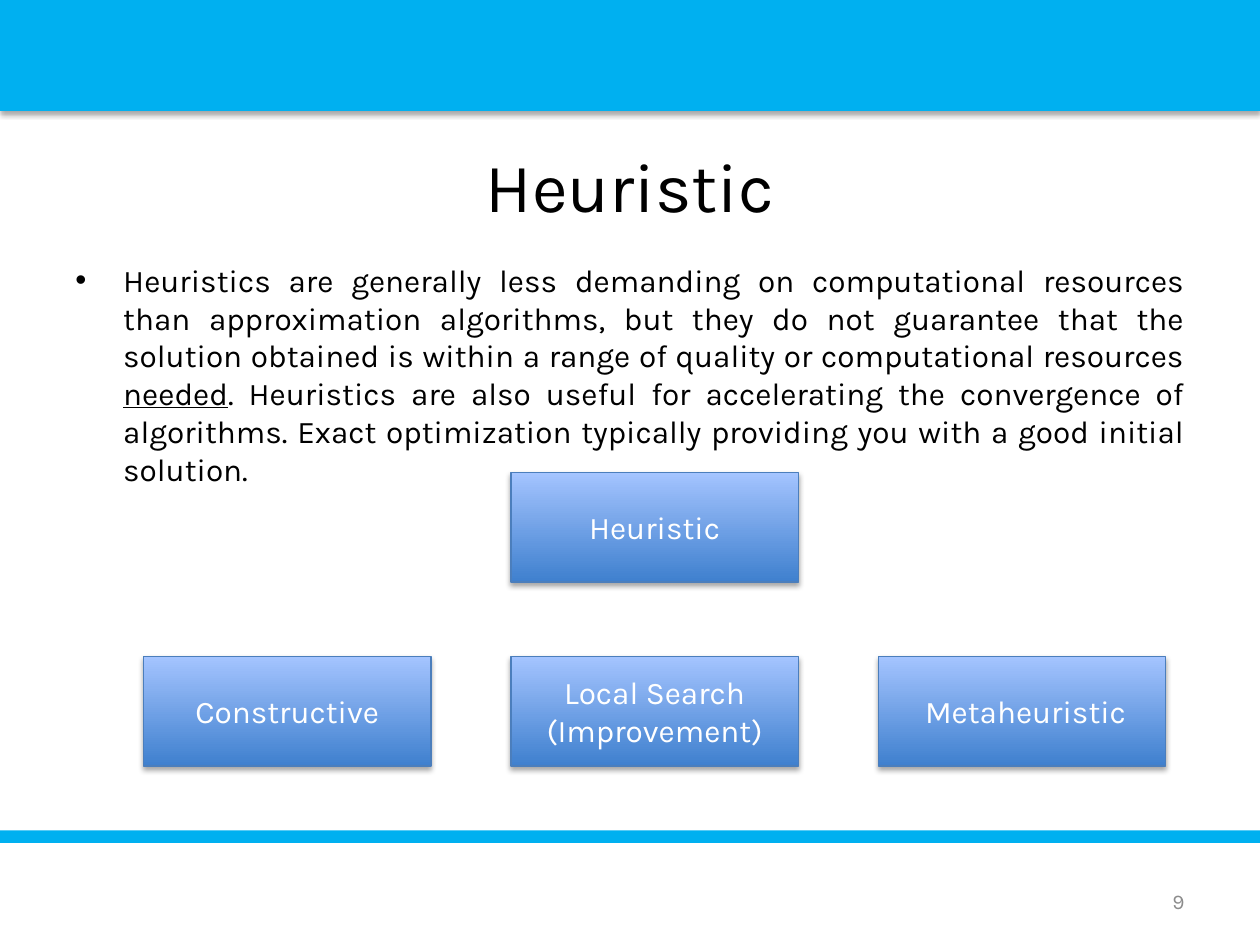
from dataclasses import dataclass

from lxml.etree import SubElement
from pptx import Presentation
from pptx.dml.color import RGBColor
from pptx.enum.shapes import MSO_SHAPE
from pptx.enum.text import MSO_ANCHOR, PP_ALIGN
from pptx.oxml.ns import qn
from pptx.util import Inches, Pt


@dataclass(frozen=True)
class Theme:
    font: str = "Karla"
    band: str = "00B0F0"
    ink: str = "000000"
    box_text: str = "FFFFFF"
    muted: str = "8C8C8C"
    box_dark: str = "3F80CE"
    box_light: str = "A4C4FF"
    box_line: str = "4B7EBC"
    title_size: float = 39.6
    body_size: float = 18
    number_size: float = 12


class SlideBuilder:
    def __init__(self, slide, theme):
        self.slide = slide
        self.theme = theme

    def rectangle(self, left, top, width, height, shadow=False):
        shape = self.slide.shapes.add_shape(
            MSO_SHAPE.RECTANGLE, Inches(left), Inches(top), Inches(width), Inches(height))
        shape.shadow.inherit = False
        if shadow:
            self.add_shadow(shape)
        return shape

    def add_shadow(self, shape):
        effects = shape._element.spPr.find(qn("a:effectLst"))
        outer = SubElement(effects, qn("a:outerShdw"), blurRad=str(Pt(3.1)),
                           dist=str(Pt(1.8)), dir="5400000", rotWithShape="0")
        color = SubElement(outer, qn("a:srgbClr"), val="000000")
        SubElement(color, qn("a:alpha"), val="35000")

    def band(self, left, top, width, height, shadow=False):
        shape = self.rectangle(left, top, width, height, shadow)
        shape.fill.solid()
        shape.fill.fore_color.rgb = RGBColor.from_string(self.theme.band)
        shape.line.fill.background()

    def box(self, text, left, top, width, height):
        shape = self.rectangle(left, top, width, height, shadow=True)
        shape.fill.gradient()
        shape.fill.gradient_angle = 90
        colors = (self.theme.box_dark, self.theme.box_light)
        for stop, color, position in zip(shape.fill.gradient_stops, colors, (0, 1)):
            stop.color.rgb = RGBColor.from_string(color)
            stop.position = position
        shape.line.color.rgb = RGBColor.from_string(self.theme.box_line)
        shape.line.width = Pt(0.75)
        shape.text_frame.text = text
        self.format_text(shape.text_frame, self.theme.body_size,
                         self.theme.box_text, PP_ALIGN.CENTER)

    def text(self, text, left, top, width, height, size, color, alignment,
             anchor=MSO_ANCHOR.MIDDLE):
        shape = self.slide.shapes.add_textbox(
            Inches(left), Inches(top), Inches(width), Inches(height))
        shape.text_frame.text = text
        self.format_text(shape.text_frame, size, color, alignment, anchor)
        return shape.text_frame.paragraphs[0]

    def format_text(self, text_frame, size, color, alignment, anchor=MSO_ANCHOR.MIDDLE):
        text_frame.word_wrap = True
        text_frame.vertical_anchor = anchor
        paragraph = text_frame.paragraphs[0]
        paragraph.alignment = alignment
        for run in paragraph.runs:
            self.format_run(run, size, color)

    def format_run(self, run, size, color):
        run.font.name = self.theme.font
        run.font.size = Pt(size)
        run.font.color.rgb = RGBColor.from_string(color)

    def bullet(self, parts, left, top, width, height):
        """Add one justified bullet from (text, underlined) parts."""
        size, color = self.theme.body_size, self.theme.ink
        paragraph = self.text("", left, top, width, height, size, color,
                              PP_ALIGN.JUSTIFY, MSO_ANCHOR.TOP)
        paragraph.space_before = Pt(0.2 * size)
        for text, underlined in parts:
            run = paragraph.add_run()
            run.text = text
            run.font.underline = underlined
            self.format_run(run, size, color)
        properties = paragraph._p.get_or_add_pPr()
        properties.set("marL", str(Inches(0.38)))
        properties.set("indent", str(Inches(-0.38)))
        SubElement(properties, qn("a:buFont"), typeface="Arial")
        SubElement(properties, qn("a:buChar"), char="•")


BODY_PARTS = [
    ("Heuristics are generally less demanding on computational resources than "
     "approximation algorithms, but they do not guarantee that the solution obtained "
     "is within a range of quality or computational resources ", False),
    ("needed", True),
    (". Heuristics are also useful for accelerating the convergence of algorithms. "
     "Exact optimization typically providing you with a good initial solution.", False),
]
BOX_SIZE = (2.28, 0.87)
BOX_LEFT, BOX_STEP = 1.14, 2.915
PARENT_TOP, CHILD_TOP = 3.75, 5.21
CHILDREN = ("Constructive", "Local Search (Improvement)", " Metaheuristic")


def main():
    presentation = Presentation()
    presentation.slide_width = Inches(10)
    presentation.slide_height = Inches(7.5)
    theme = Theme()
    builder = SlideBuilder(presentation.slides.add_slide(presentation.slide_layouts[6]), theme)

    builder.band(0, -0.03, 10, 0.91, shadow=True)
    builder.band(-0.01, 6.59, 10.01, 0.1)
    builder.text("Heuristic", 0.5, 1.07, 9, 0.79, theme.title_size, theme.ink, PP_ALIGN.CENTER)
    builder.bullet(BODY_PARTS, 0.5, 2.02, 9, 4.49)
    builder.box("Heuristic", BOX_LEFT + BOX_STEP, PARENT_TOP, *BOX_SIZE)
    for column, label in enumerate(CHILDREN):
        builder.box(label, BOX_LEFT + column * BOX_STEP, CHILD_TOP, *BOX_SIZE)
    builder.text("9", 7.17, 6.95, 2.33, 0.4, theme.number_size, theme.muted, PP_ALIGN.RIGHT)

    presentation.save("out.pptx")


if __name__ == "__main__":
    main()
